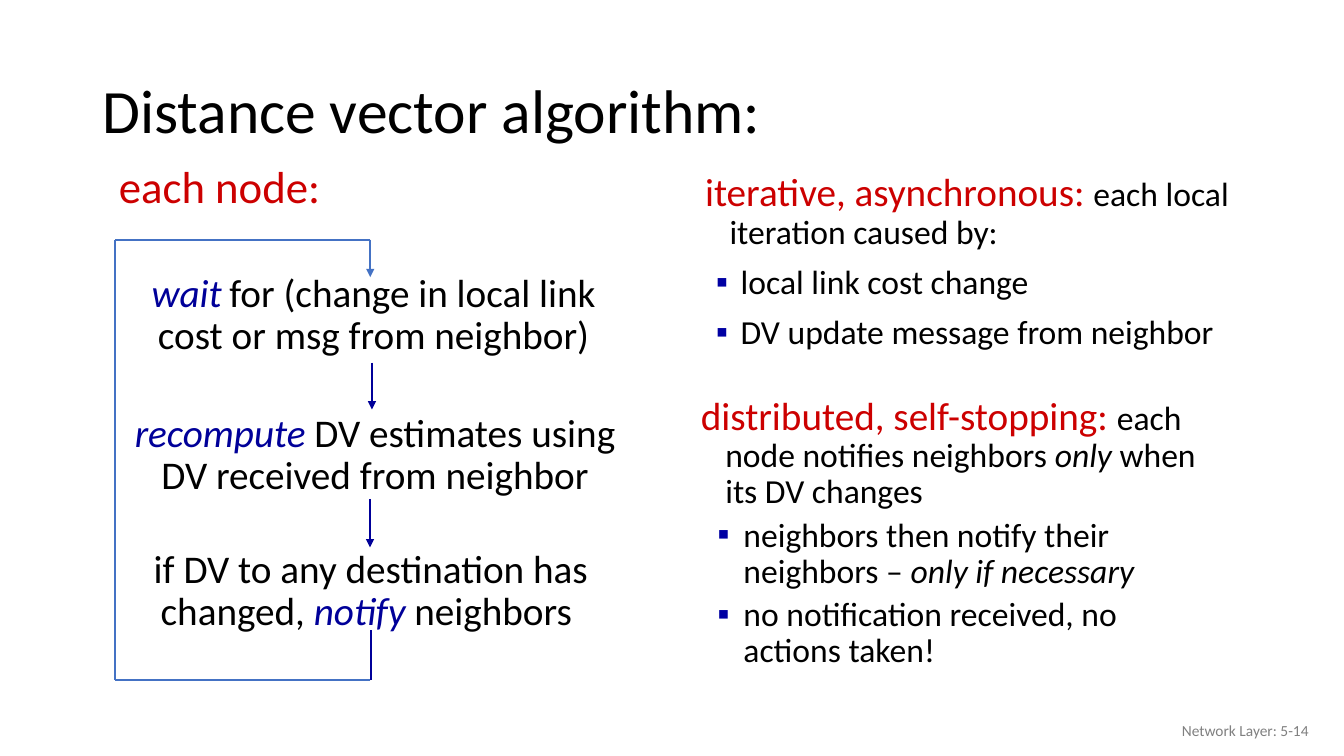
"""Build the slide on the distance vector algorithm."""
import lxml.etree
import pptx
import pptx.dml.color
import pptx.enum.shapes
import pptx.enum.text
import pptx.oxml.ns
import pptx.util

Pt = pptx.util.Pt
Align = pptx.enum.text.PP_ALIGN
Anchor = pptx.enum.text.MSO_ANCHOR

THEME = {
    "font": "Calibri",
    "black": "000000", "red": "CC0000", "blue": "000099",
    "bullet": "0000A3", "loop": "4472C4", "grey": "808080",
    "title": 44, "label": 32, "lead": 28, "body": 24, "footer": 11,
    "line": 1.5,
}

STYLES = {
    "title": ("title", "black", False),
    "label": ("label", "red", False),
    "lead": ("lead", "red", False),
    "step": ("lead", "black", False),
    "verb": ("lead", "blue", True),
    "body": ("body", "black", False),
    "stress": ("body", "black", True),
    "footer": ("footer", "grey", False),
}

LAYOUTS = {
    "plain": {},
    "title": {"spacing": 0.9},
    "label": {"align": Align.CENTER},
    "step": {"align": Align.CENTER, "spacing": 0.9},
    "footer": {"align": Align.RIGHT},
    "lead": {"spacing": 0.9, "before": 10, "margin": 28, "hang": 17.5},
    "item": {"spacing": 0.9, "before": 10, "margin": 36, "hang": 17.5, "bullet": "▪"},
    "subitem": {"spacing": 0.9, "before": 5, "margin": 41, "hang": 18.5, "bullet": "▪"},
}

TITLE = [("title", [("title", "Distance vector algorithm:")])]
FOOTER = [("footer", [("footer", "Network Layer: 5-14")])]
LABEL = [("label", [("label", "each node:")])]
ITERATIVE = [
    ("lead", [("lead", "iterative, asynchronous: "),
              ("body", "each local iteration caused by:")]),
    ("item", [("body", "local link cost change")]),
    ("item", [("body", "DV update message from neighbor")]),
]
DISTRIBUTED = [
    ("lead", [("lead", "distributed, self-stopping: "),
              ("body", "each node notifies neighbors "),
              ("stress", "only"), ("body", " when its DV changes")]),
    ("subitem", [("body", "neighbors then notify their neighbors – "),
                 ("stress", "only if necessary")]),
    ("subitem", [("body", "no notification received, no actions taken!")]),
]
STEPS = [
    (85, 192, [("verb", "wait"), ("body", " "),
               ("step", "for (change in local link cost or msg from neighbor)")]),
    (86, 292, [("verb", "recompute"),
               ("step", " DV estimates using DV received from neighbor")]),
    (83, 389, [("step", "if DV to any destination has changed, "),
               ("verb", "notify"), ("step", " neighbors ")]),
]
STEP_SIZE = (363.6, 68)

LOOP_LEFT, LOOP_RIGHT, LOOP_TOP, LOOP_BOTTOM = 82.4, 264.5, 171.2, 486
LINES = [
    ((265.7, 259), (265.7, 292.5), "blue", True),
    ((264.3, 356.4), (264.3, 391), "blue", True),
    ((265, LOOP_BOTTOM), (265, 450), "blue", False),
    ((LOOP_RIGHT, LOOP_TOP), (LOOP_RIGHT, 198), "loop", True),
    ((LOOP_LEFT, LOOP_BOTTOM), (LOOP_RIGHT, LOOP_BOTTOM), "loop", False),
    ((LOOP_LEFT, LOOP_TOP), (LOOP_RIGHT, LOOP_TOP), "loop", False),
    ((LOOP_LEFT, LOOP_TOP), (LOOP_LEFT, LOOP_BOTTOM), "loop", False),
]


def color(name):
    """Return a theme colour."""
    return pptx.dml.color.RGBColor.from_string(THEME[name])


def add_child(parent, tag, **attributes):
    """Append a DrawingML element."""
    return lxml.etree.SubElement(parent, pptx.oxml.ns.qn(tag), attributes)


def format_para(para, align=Align.LEFT, spacing=1.0, before=0, margin=0, hang=0, bullet=None):
    """Set alignment, spacing, indent and bullet of a paragraph."""
    para.alignment = align
    para.line_spacing = spacing
    para.space_before = Pt(before)
    properties = para._p.get_or_add_pPr()
    properties.set("marL", str(Pt(margin)))
    properties.set("indent", str(-Pt(hang)))
    if bullet:
        fill = add_child(properties, "a:buClr")
        add_child(fill, "a:srgbClr", val=THEME["bullet"])
        add_child(properties, "a:buFont", typeface="Wingdings" if bullet == "§" else THEME["font"])
        add_child(properties, "a:buChar", char=bullet)


def add_text(page, left, top, width, height, paragraphs, anchor=Anchor.TOP, wrap=True):
    """Add a text box with styled paragraphs."""
    box = page.shapes.add_textbox(Pt(left), Pt(top), Pt(width), Pt(height))
    frame = box.text_frame
    frame.word_wrap = wrap
    frame.vertical_anchor = anchor
    for index, (layout, spans) in enumerate(paragraphs):
        para = frame.add_paragraph() if index else frame.paragraphs[0]
        format_para(para, **LAYOUTS[layout])
        for style, text in spans:
            size, ink, italic = STYLES[style]
            span = para.add_run()
            span.text = text
            span.font.name = THEME["font"]
            span.font.size = Pt(THEME[size])
            span.font.color.rgb = color(ink)
            span.font.italic = italic


def add_line(page, start, end, ink, arrow):
    """Add a straight line, with an arrowhead at its end if asked."""
    line = page.shapes.add_connector(
        pptx.enum.shapes.MSO_CONNECTOR.STRAIGHT, *(Pt(value) for value in start + end))
    line.line.color.rgb = color(ink)
    line.line.width = Pt(THEME["line"])
    if arrow:
        add_child(line.line._get_or_add_ln(), "a:tailEnd", type="triangle")
    add_child(line._element.spPr, "a:effectLst")


def main():
    """Build and save the deck."""
    deck = pptx.Presentation()
    deck.slide_width, deck.slide_height = Pt(960), Pt(540)
    page = deck.slides.add_slide(deck.slide_layouts[6])
    add_text(page, 66, 29, 828, 104, TITLE, Anchor.MIDDLE)
    add_text(page, 726, 507.5, 216, 29, FOOTER, Anchor.MIDDLE)
    add_text(page, 486, 120, 425.5, 155.5, ITERATIVE)
    add_text(page, 77, 110, 160, 46, LABEL, wrap=False)
    add_text(page, 483, 279.5, 389, 229.5, DISTRIBUTED)
    for left, top, spans in STEPS:
        add_text(page, left, top, *STEP_SIZE, [("step", spans)])
    for line in LINES:
        add_line(page, *line)
    deck.save("out.pptx")


if __name__ == "__main__":
    main()
